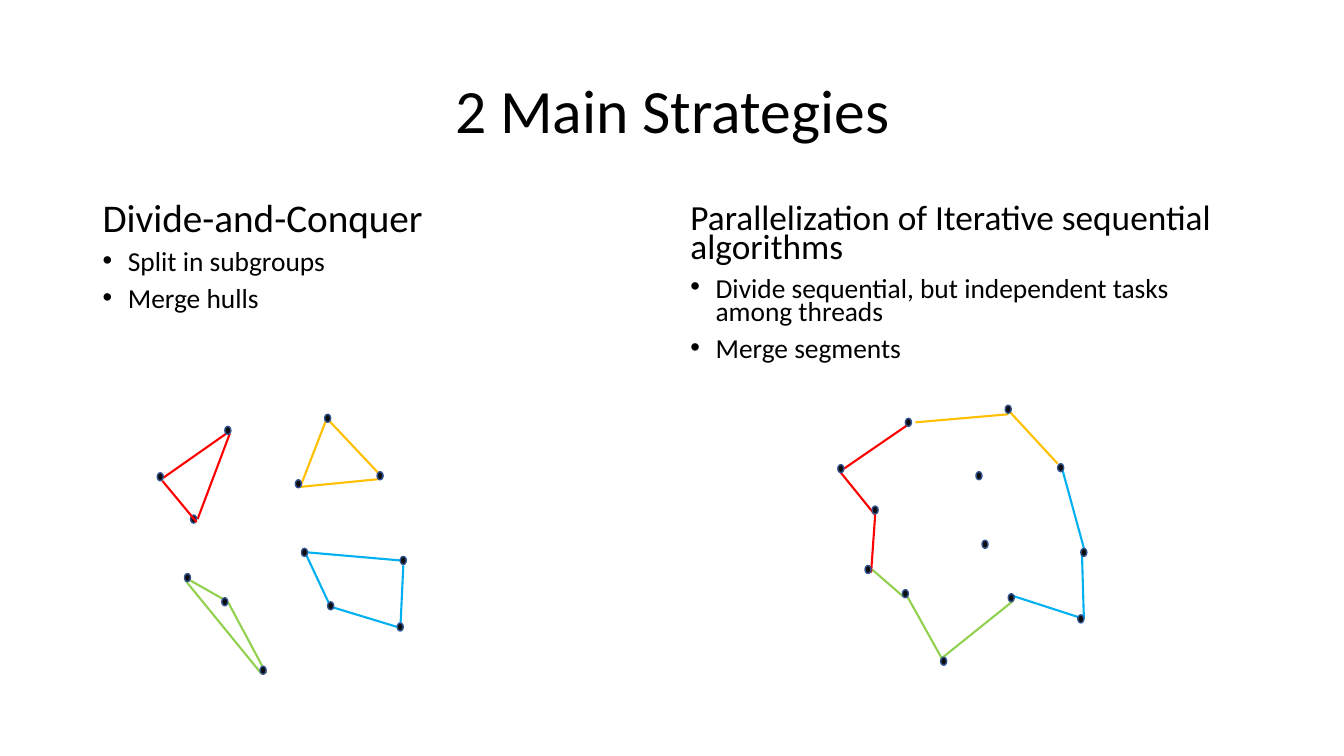
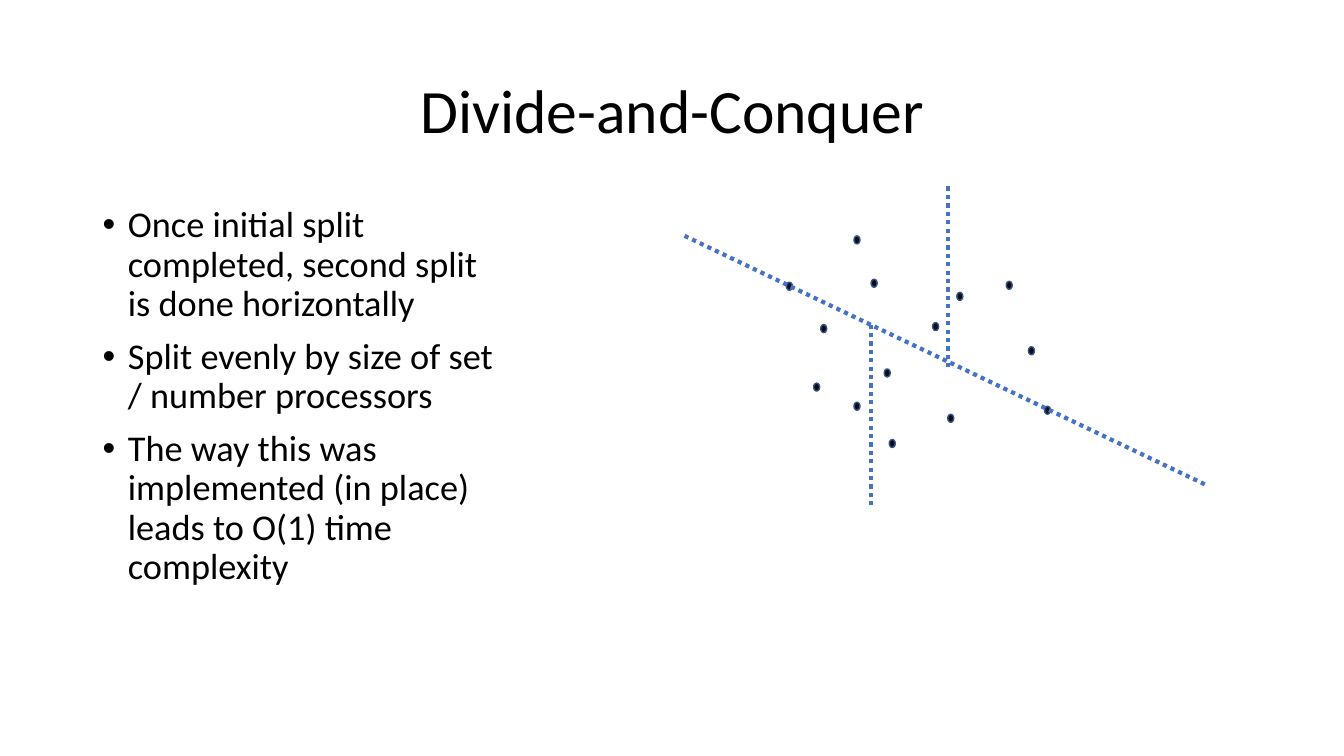
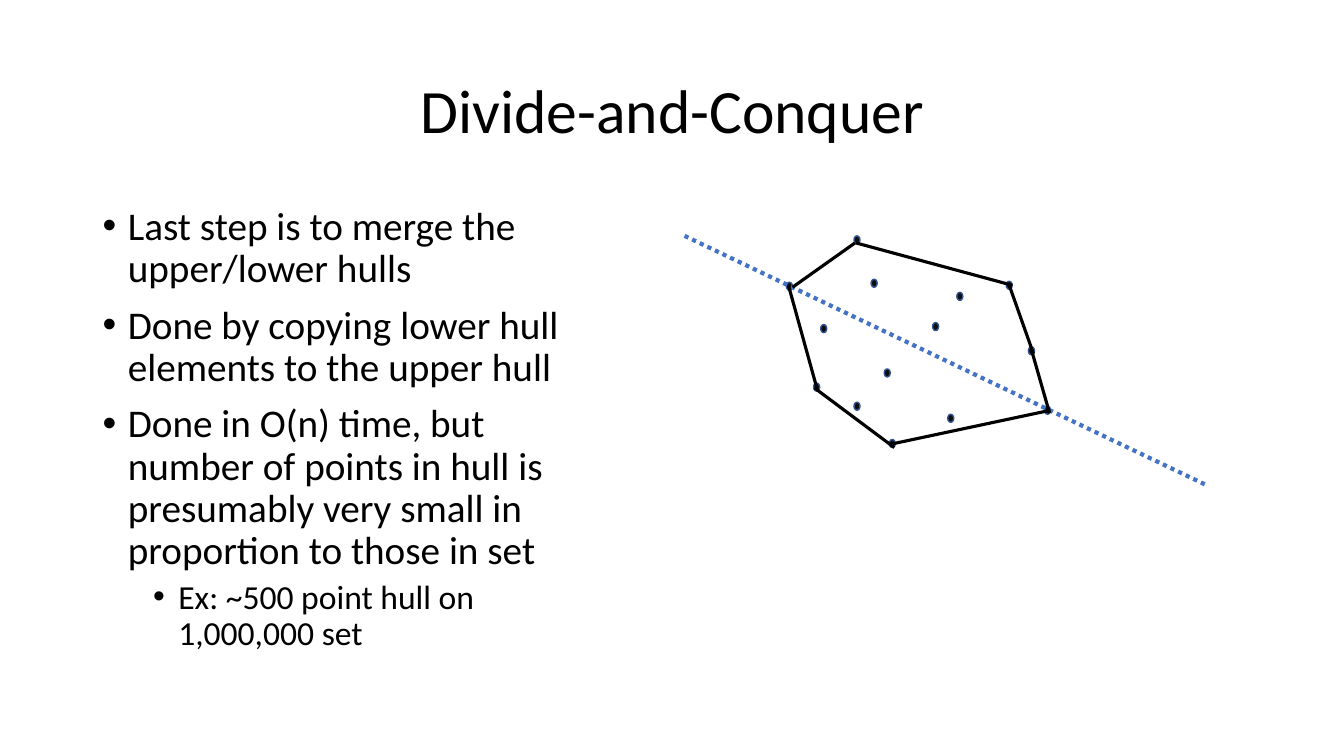
"""Builds three slides on parallel convex hull strategies."""
from dataclasses import dataclass

from lxml.etree import SubElement
from pptx import Presentation
from pptx.dml.color import RGBColor
from pptx.enum.dml import MSO_LINE
from pptx.enum.shapes import MSO_CONNECTOR, MSO_SHAPE
from pptx.enum.text import MSO_ANCHOR, PP_ALIGN
from pptx.oxml.ns import qn
from pptx.util import Inches, Pt


@dataclass(frozen=True)
class Theme:
    """Colours and sizes shared by all slides."""
    font: str = "Calibri"
    text: str = "000000"
    dot_fill: str = "0D0D0D"
    dot_line: str = "325491"
    split: str = "4472C4"
    green: str = "92D050"
    red: str = "FF0000"
    yellow: str = "FFC000"
    blue: str = "00B0F0"
    title_size: float = 44
    large: float = 28
    reduced: float = 25.9
    heading: float = 25.2
    detail: float = 24
    small: float = 19.6
    dot_width: float = 0.06
    dot_height: float = 0.08
    edge: float = 1.5
    hull: float = 2.25
    divider: float = 3


THEME = Theme()
TITLE_PLACE = (0.92, 0.4, 11.5, 1.45)

STRATEGIES = [
    ((0.92, 2, 4.12, 1.22), [
        ("Divide-and-Conquer", THEME.large, None),
        ("Split in subgroups", THEME.small, 0),
        ("Merge hulls", THEME.small, 0)]),
    ((6.75, 2, 5.67, 1.91), [
        ("Parallelization of Iterative sequential algorithms", THEME.heading, None),
        ("Divide sequential, but independent tasks among threads", THEME.small, 0),
        ("Merge segments", THEME.small, 0)]),
]
SPLIT_PLACE = (0.92, 2, 4.12, 4.25)
SPLIT_POINTS = [
    ("Once initial split completed, second split is done horizontally", THEME.reduced, 0),
    ("Split evenly by size of set / number processors", THEME.reduced, 0),
    ("The way this was implemented (in place) leads to O(1) time complexity",
     THEME.reduced, 0),
]
MERGE_PLACE = (0.92, 2, 4.78, 5.1)
MERGE_POINTS = [
    ("Last step is to merge the upper/lower hulls", THEME.large, 0),
    ("Done by copying lower hull elements to the upper hull", THEME.large, 0),
    ("Done in O(n) time, but number of points in hull is presumably very small "
     "in proportion to those in set", THEME.large, 0),
    ("Ex: ~500 point hull on 1,000,000 set", THEME.detail, 1),
]

STRATEGY_EDGES = {
    THEME.green: [
        (10.05, 5.96, 9.34, 6.53), (9, 5.92, 9.34, 6.53), (8.65, 5.65, 8.96, 5.92),
        (2.26, 5.97, 2.64, 6.68), (1.84, 5.76, 2.59, 6.68), (1.89, 5.76, 2.26, 5.97)],
    THEME.red: [
        (8.68, 5.11, 8.64, 5.68), (8.34, 4.69, 8.68, 5.11), (9.04, 4.19, 8.37, 4.65),
        (2.28, 4.3, 1.96, 5.15), (1.62, 4.74, 2.29, 4.27)],
    THEME.yellow: [
        (9.08, 4.19, 10, 4.11), (10.01, 4.08, 10.49, 4.6), (2.98, 4.83, 3.79, 4.75),
        (2.99, 4.8, 3.23, 4.18), (3.27, 4.18, 3.75, 4.69)],
    THEME.blue: [
        (10.54, 4.67, 10.77, 5.51), (10.73, 5.45, 10.75, 6.14),
        (10.01, 5.9, 10.75, 6.14), (3.97, 6.26, 4, 5.61), (3.25, 6.01, 3.94, 6.22),
        (3.04, 5.51, 3.26, 5.98), (3.05, 5.48, 3.97, 5.56)],
}
FRONT_EDGE = [(1.61, 4.77, 1.95, 5.18)]
STRATEGY_DOTS = [
    (8.65, 5.02), (8.98, 4.15), (8.95, 5.85), (10.49, 4.6), (10, 5.89), (8.58, 5.61),
    (9.74, 5.36), (9.68, 4.68), (10.69, 6.1), (9.97, 4.02), (9.33, 6.52),
    (8.31, 4.61), (10.72, 5.44),
    (1.89, 5.11), (2.23, 4.23), (2.2, 5.93), (3.74, 4.68), (3.25, 5.97), (1.83, 5.69),
    (2.99, 5.44), (2.93, 4.76), (3.94, 6.18), (3.22, 4.11), (2.58, 6.61),
    (1.56, 4.69), (3.97, 5.52),
]

UPPER_DOTS = [(8.47, 2.34), (9.98, 2.79), (8.64, 2.77), (9.25, 3.2), (10.36, 4.03),
              (7.8, 2.8), (10.2, 3.44), (9.49, 2.9)]
LOWER_DOTS = [(8.14, 3.22), (8.77, 3.66), (9.4, 4.11), (8.07, 3.8), (8.82, 4.36),
              (8.47, 3.99)]
FIRST_SPLIT = [(6.79, 2.34, 11.96, 4.81)]
SECOND_SPLITS = [(9.4, 1.85, 9.4, 3.66), (8.64, 3.22, 8.64, 5.03)]
UPPER_HULL = [(7.86, 2.85, 8.48, 2.41), (8.49, 2.41, 10.04, 2.83),
              (10.01, 2.83, 10.25, 3.51), (10.23, 3.47, 10.41, 4.1)]
LOWER_HULL = [(8.82, 4.41, 10.42, 4.07), (8.08, 3.85, 8.87, 4.44),
              (7.82, 2.83, 8.11, 3.88)]


def color(value):
    return RGBColor.from_string(value)


def add_text_frame(page, place):
    box = page.shapes.add_textbox(*map(Inches, place))
    box.text_frame.word_wrap = True
    return box.text_frame


def add_span(para, text, size):
    span = para.add_run()
    span.text = text
    span.font.name = THEME.font
    span.font.size = Pt(size)
    span.font.color.rgb = color(THEME.text)


def add_page(deck, title):
    page = deck.slides.add_slide(deck.slide_layouts[6])
    frame = add_text_frame(page, TITLE_PLACE)
    frame.vertical_anchor = MSO_ANCHOR.MIDDLE
    para = frame.paragraphs[0]
    para.alignment = PP_ALIGN.CENTER
    para.line_spacing = 0.9
    add_span(para, title, THEME.title_size)
    return page


def add_bullet(para, level):
    para.level = level
    properties = para._p.get_or_add_pPr()
    properties.set("marL", str(Inches(0.25 + 0.5 * level)))
    properties.set("indent", str(Inches(-0.25)))
    SubElement(properties, qn("a:buFont")).set("typeface", "Arial")
    SubElement(properties, qn("a:buChar")).set("char", "•")


def add_body(page, place, points, spacing=0.9):
    frame = add_text_frame(page, place)
    for index, (text, size, level) in enumerate(points):
        para = frame.add_paragraph() if index else frame.paragraphs[0]
        para.line_spacing = spacing
        para.space_before = Pt(5 if level else 10)
        if level is not None:
            add_bullet(para, level)
        add_span(para, text, size)


def add_dots(shapes, dots):
    for left, top in dots:
        dot = shapes.add_shape(MSO_SHAPE.OVAL, Inches(left), Inches(top),
                               Inches(THEME.dot_width), Inches(THEME.dot_height))
        dot.shadow.inherit = False
        dot.fill.solid()
        dot.fill.fore_color.rgb = color(THEME.dot_fill)
        dot.line.color.rgb = color(THEME.dot_line)
        dot.line.width = Pt(1)


def add_edges(shapes, edges, shade, width, dash=None):
    for edge in edges:
        line = shapes.add_connector(MSO_CONNECTOR.STRAIGHT, *map(Inches, edge))
        line.line.color.rgb = color(shade)
        line.line.width = Pt(width)
        if dash:
            line.line.dash_style = dash
        SubElement(line._element.spPr, qn("a:effectLst"))


def add_splits(page, splits):
    add_edges(page.shapes, splits, THEME.split, THEME.divider, MSO_LINE.ROUND_DOT)


def build_strategies(deck):
    page = add_page(deck, "2 Main Strategies")
    for shade, edges in STRATEGY_EDGES.items():
        add_edges(page.shapes, edges, shade, THEME.edge)
    for place, points in STRATEGIES:
        add_body(page, place, points, 0.7)
    add_dots(page.shapes, STRATEGY_DOTS)
    add_edges(page.shapes, FRONT_EDGE, THEME.red, THEME.edge)


def build_split(deck):
    page = add_page(deck, "Divide-and-Conquer")
    add_body(page, SPLIT_PLACE, SPLIT_POINTS)
    add_dots(page.shapes, UPPER_DOTS + LOWER_DOTS)
    add_splits(page, FIRST_SPLIT + SECOND_SPLITS)


def build_merge(deck):
    page = add_page(deck, "Divide-and-Conquer")
    add_body(page, MERGE_PLACE, MERGE_POINTS)
    add_dots(page.shapes, UPPER_DOTS)
    add_splits(page, FIRST_SPLIT)
    add_edges(page.shapes, UPPER_HULL, THEME.text, THEME.hull)
    lower_group = page.shapes.add_group_shape()
    add_dots(lower_group.shapes, LOWER_DOTS)
    add_edges(lower_group.shapes, LOWER_HULL, THEME.text, THEME.hull)


def main():
    deck = Presentation()
    deck.slide_width = Inches(13.33)
    deck.slide_height = Inches(7.5)
    build_strategies(deck)
    build_split(deck)
    build_merge(deck)
    deck.save("out.pptx")


if __name__ == "__main__":
    main()
